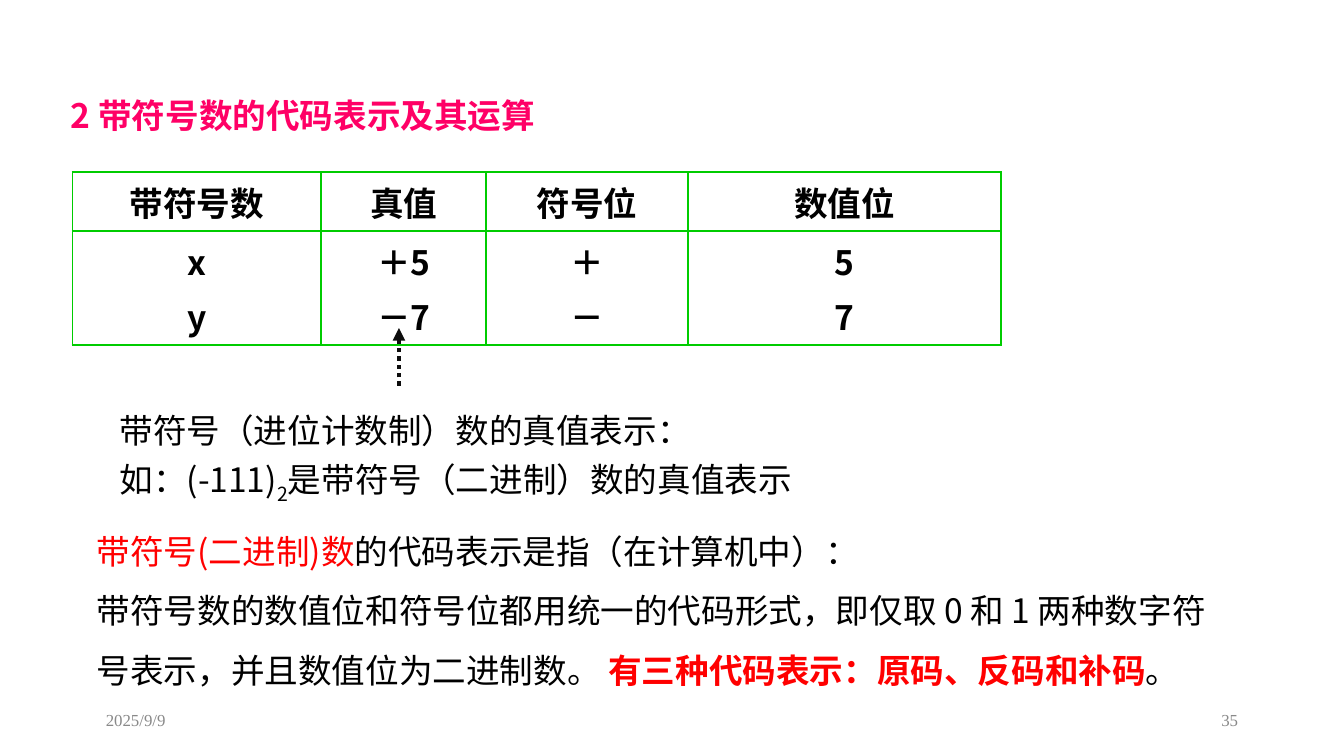
"""Build the slide on code representation of signed numbers."""
import pptx
import pptx.dml.color
import pptx.enum.dml
import pptx.enum.shapes
import pptx.enum.text
import pptx.oxml
import pptx.oxml.ns
import pptx.util
from pptx.util import Cm

COLORS = {"pink": "FF0066", "red": "FF0000", "black": "000000",
          "gray": "898989", "green": "00CC00", "arrow": "0D0D0D"}
HEADING = "Noto Sans CJK SC"
FOOTER = "Times New Roman"
ALIGN = pptx.enum.text.PP_ALIGN
ANCHOR = pptx.enum.text.MSO_ANCHOR
NAMESPACE = pptx.oxml.ns.nsdecls("a")


def write(frame, paragraphs, font_name, size, layout, gap=0, margin=0):
    """Fill a text frame with paragraphs of (text, colour, font values)."""
    for index, spans in enumerate(paragraphs):
        para = frame.add_paragraph() if index else frame.paragraphs[0]
        for name, value in layout.items():
            setattr(para, name, value)
        para.space_before = pptx.util.Pt(gap if index else 0)
        if margin:
            properties = para._p.get_or_add_pPr()
            properties.set("marL", str(Cm(margin)))
            properties.set("indent", "0")
        for text, color, values in spans:
            span = para.add_run()
            span.text = text
            formats = {"name": font_name, "size": pptx.util.Pt(size), "bold": False} | values
            baseline = formats.pop("baseline", None)
            for name, value in formats.items():
                setattr(span.font, name, value)
            span.font.color.rgb = pptx.dml.color.RGBColor.from_string(COLORS[color])
            properties = span._r.get_or_add_rPr()
            properties.append(pptx.oxml.parse_xml(
                f'<a:ea {NAMESPACE} typeface="{font_name}"/>'))
            if baseline:
                properties.set("baseline", str(baseline))


deck = pptx.Presentation()
deck.slide_width, deck.slide_height = Cm(25.4), Cm(14.29)
page = deck.slides.add_slide(deck.slide_layouts[6])

bold = {"bold": True}
title = [[("2 带符号数的代码表示及其运算", "pink", bold)]]
true_value = [
    [("带符号（进位计数制）数的真值表示：", "black", {})],
    [("如：(-111)", "black", {}), ("2", "black", {"baseline": -25000}),
     ("是带符号（二进制）数的真值表示", "black", {})],
]
code_form = [
    [("带符号(二进制)数", "red", {}), ("的代码表示是指（在计算机中）：", "black", {})],
    [("带符号数的数值位和符号位都用统一的代码形式，即仅取 0 和 1 两种数字符", "black", {})],
    [("号表示，并且数值位为二进制数。 ", "black", {}),
     ("有三种代码表示：原码、反码和补码", "red", bold), ("。", "black", {})],
]
date = [[("2025/9/9", "gray", {})]]
number = [[("35", "gray", {})]]

boxes = [
    ((1.75, 13.23, 5.72, 0.76), ANCHOR.MIDDLE, date, FOOTER, 9, {}, 0, 0),
    ((17.93, 13.23, 5.72, 0.76), ANCHOR.MIDDLE, number, FOOTER, 9,
     {"alignment": ALIGN.RIGHT}, 0, 0),
    ((1.09, 1.75, 21.16, 1.47), ANCHOR.TOP, title, HEADING, 18, {"line_spacing": 0.9}, 0, 0),
    ((1.3, 9.75, 23.06, 3.96), ANCHOR.TOP, code_form, HEADING, 18,
     {"line_spacing": 1.2}, 6, 0.28),
    ((2.01, 7.47, 21.39, 2.11), ANCHOR.TOP, true_value, HEADING, 18,
     {"line_spacing": 1.2}, 0, 0),
]
for place, anchor, paragraphs, font_name, size, layout, gap, margin in boxes:
    box = page.shapes.add_textbox(*map(Cm, place))
    box.text_frame.word_wrap = True
    box.text_frame.vertical_anchor = anchor
    write(box.text_frame, paragraphs, font_name, size, layout, gap, margin)

rows = [
    [["带符号数"], ["真值"], ["符号位"], ["数值位"]],
    [["x", "y"], ["＋5", "－7"], ["＋", "－"], ["5", "7"]],
]
widths = [4.7, 3.12, 3.81, 5.92]
heights = [1.12, 2.15]
table = page.shapes.add_table(2, 4, Cm(1.37), Cm(3.25),
                              Cm(sum(widths)), Cm(sum(heights))).table
for column, width in zip(table.columns, widths):
    column.width = Cm(width)
for row, height, entries in zip(table.rows, heights, rows):
    row.height = Cm(height)
    for cell, lines in zip(row.cells, entries):
        cell.margin_left = cell.margin_right = Cm(0.25)
        cell.margin_top = cell.margin_bottom = Cm(0.1)
        write(cell.text_frame, [[(line, "black", bold)] for line in lines],
              HEADING, 18, {"alignment": ALIGN.CENTER}, 3.6)
        properties = cell._tc.get_or_add_tcPr()
        for side in ("lnL", "lnR", "lnT", "lnB"):
            properties.append(pptx.oxml.parse_xml(
                f'<a:{side} {NAMESPACE} w="{pptx.util.Pt(1)}"><a:solidFill>'
                f'<a:srgbClr val="{COLORS["green"]}"/></a:solidFill></a:{side}>'))
        cell.fill.background()

arrow = page.shapes.add_connector(pptx.enum.shapes.MSO_CONNECTOR.STRAIGHT,
                                  Cm(7.54), Cm(7.29), Cm(7.54), Cm(6.2))
arrow.line.color.rgb = pptx.dml.color.RGBColor.from_string(COLORS["arrow"])
arrow.line.width = pptx.util.Pt(2.25)
arrow.line.dash_style = pptx.enum.dml.MSO_LINE.ROUND_DOT
arrow.line._get_or_add_ln().append(
    pptx.oxml.parse_xml(f'<a:tailEnd {NAMESPACE} type="triangle"/>'))
arrow._element.spPr.append(pptx.oxml.parse_xml(f"<a:effectLst {NAMESPACE}/>"))

deck.save("out.pptx")
